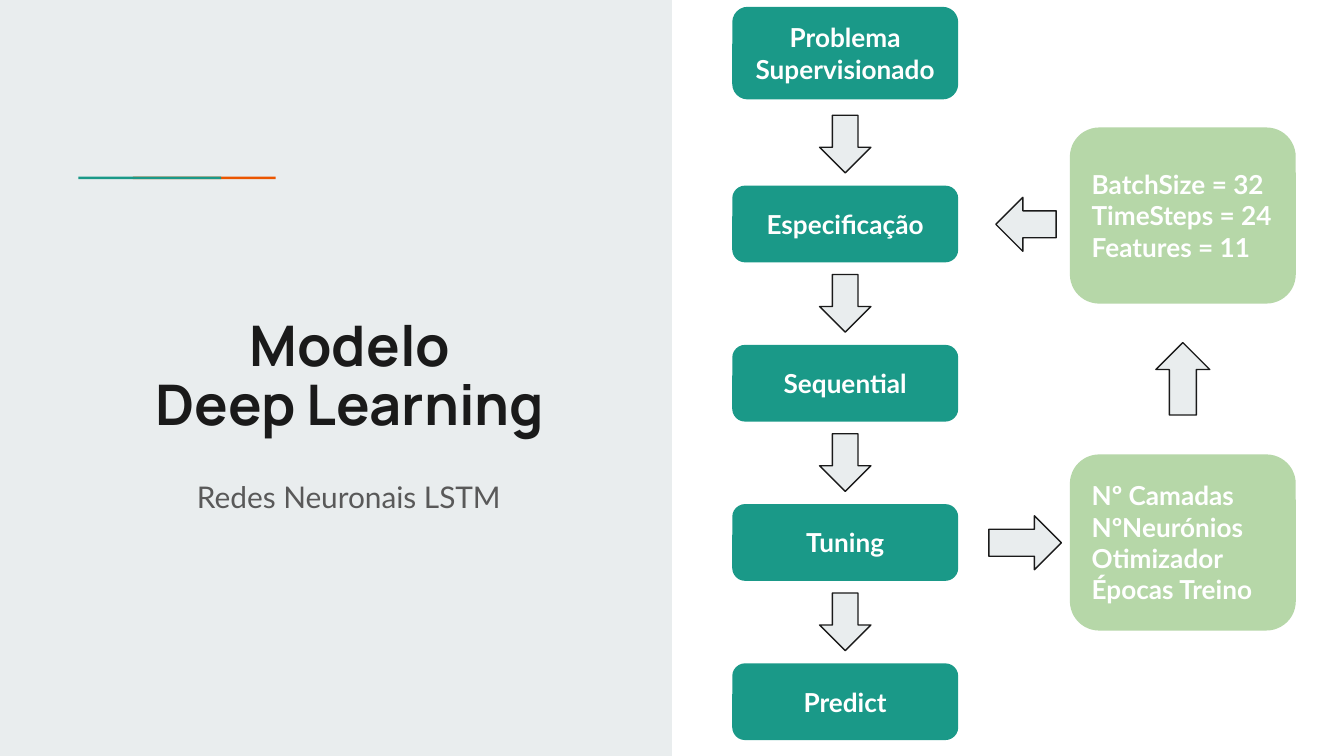
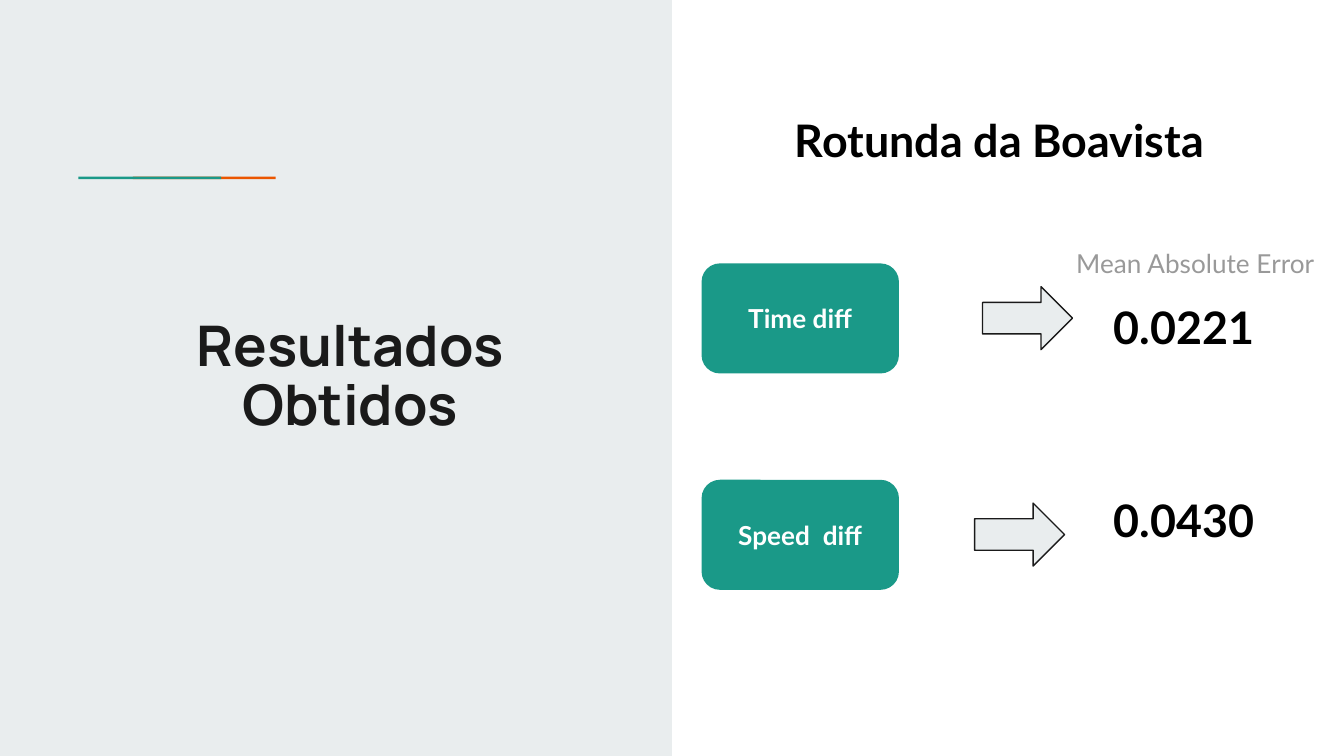
"""Build two slides on a deep learning model and its results."""
from pptx import Presentation
from pptx.dml.color import RGBColor
from pptx.enum.shapes import MSO_SHAPE
from pptx.enum.text import MSO_ANCHOR, MSO_AUTO_SIZE, PP_ALIGN
from pptx.util import Cm, Pt

COLOURS = {
    "panel": "E9EDEE",
    "teal": "1A9988",
    "orange": "EB5600",
    "green": "B6D7A8",
    "ink": "1A1A1A",
    "subtitle": "595959",
    "caption": "999999",
    "black": "000000",
    "white": "FFFFFF",
}
INSET = Cm(0.25)
STEP_PITCH = 3.01
TITLE_LAYOUT, TITLE_ONLY_LAYOUT = 0, 5


def colour(name):
    return RGBColor.from_string(COLOURS[name])


def place(shape, left, top, width, height):
    shape.left, shape.top = Cm(left), Cm(top)
    shape.width, shape.height = Cm(width), Cm(height)


def write(shape, lines, size, ink, bold=True, align=PP_ALIGN.LEFT,
          anchor=MSO_ANCHOR.TOP, font="Lato", spacing=1.0):
    frame = shape.text_frame
    frame.word_wrap = True
    frame.auto_size = MSO_AUTO_SIZE.NONE
    frame.vertical_anchor = anchor
    frame.margin_left = frame.margin_right = INSET
    frame.margin_top = frame.margin_bottom = INSET
    for index, line in enumerate(lines):
        para = frame.add_paragraph() if index else frame.paragraphs[0]
        para.alignment = align
        para.line_spacing = spacing
        para.space_before = Pt(0)
        span = para.add_run()
        span.text = line
        span.font.name = font
        span.font.size = Pt(size)
        span.font.bold = bold
        span.font.color.rgb = colour(ink)


def add_block(page, kind, left, top, width, height, fill):
    block = page.shapes.add_shape(kind, Cm(left), Cm(top), Cm(width), Cm(height))
    block.shadow.inherit = False
    block.fill.solid()
    block.fill.fore_color.rgb = colour(fill)
    block.line.fill.background()
    return block


def add_box(page, lines, left, top, width, height, fill="teal", align=PP_ALIGN.CENTER):
    box = add_block(page, MSO_SHAPE.ROUNDED_RECTANGLE, left, top, width, height, fill)
    write(box, lines, 14, "white", align=align, anchor=MSO_ANCHOR.MIDDLE)


def add_arrow(page, left, top, width, height, kind=MSO_SHAPE.RIGHT_ARROW, rotation=0):
    arrow = add_block(page, kind, left, top, width, height, "panel")
    arrow.line.color.rgb = colour("ink")
    arrow.line.width = Pt(0.75)
    arrow.rotation = rotation


def add_label(page, text, left, top, width, height, size=24, ink="black", **style):
    label = page.shapes.add_textbox(Cm(left), Cm(top), Cm(width), Cm(height))
    write(label, [text], size, ink, **style)


def add_page(deck, layout, title_lines):
    """Add a slide with the shared side panel, accent line and title."""
    page = deck.slides.add_slide(deck.slide_layouts[layout])
    add_block(page, MSO_SHAPE.RECTANGLE, 0, 0, 12.7, 14.29, "panel")
    add_block(page, MSO_SHAPE.RECTANGLE, 2.51, 3.34, 2.7, 0.05, "orange")
    add_block(page, MSO_SHAPE.RECTANGLE, 1.48, 3.34, 2.7, 0.05, "teal")
    for holder in list(page.placeholders):
        page.shapes._spTree.append(holder._element)
    title = page.shapes.title
    place(title, 2.03, 3.66, 9.17, 4.7)
    write(title, title_lines, 30, "ink", align=PP_ALIGN.CENTER,
          font="Manrope", spacing=0.88)
    title.text_frame.margin_top = Cm(2.37)
    title.text_frame.margin_bottom = 0
    return page


def add_model_page(deck):
    page = add_page(deck, TITLE_LAYOUT, ["Modelo", "Deep Learning"])
    subtitle = page.placeholders[1]
    place(subtitle, 2.01, 8.79, 9.17, 2.11)
    write(subtitle, ["Redes Neuronais LSTM"], 16, "subtitle", bold=False,
          align=PP_ALIGN.CENTER)

    add_box(page, ["Problema Supervisionado"], 13.84, 0.13, 4.27, 1.75)
    for index, step in enumerate(["Especificação", "Sequential", "Tuning", "Predict"]):
        offset = index * STEP_PITCH
        add_arrow(page, 15.49, 2.18 + offset, 0.97, 1.09, MSO_SHAPE.DOWN_ARROW)
        add_box(page, [step], 13.84, 3.51 + offset, 4.27, 1.45)

    parameters = ["BatchSize = 32", "TimeSteps = 24", "Features = 11"]
    tuned = ["Nº Camadas", "NºNeurónios", "Otimizador", "Épocas Treino"]
    for lines, top in ((parameters, 2.41), (tuned, 8.59)):
        add_box(page, lines, 20.22, top, 4.27, 3.33, "green", PP_ALIGN.LEFT)
    add_arrow(page, 18.82, 3.73, 1.14, 1.02, rotation=180)
    add_arrow(page, 18.69, 9.75, 1.37, 1.02)
    add_arrow(page, 21.67, 6.65, 1.37, 1.02, rotation=270)


def add_results_page(deck):
    page = add_page(deck, TITLE_ONLY_LAYOUT, ["Resultados", "Obtidos"])
    add_label(page, "Rotunda da Boavista", 14.66, 1.88, 8.46, 1.78,
              align=PP_ALIGN.CENTER)
    add_label(page, "Mean Absolute Error", 20.09, 4.42, 5.31, 0.99,
              size=14, ink="caption", bold=False)
    results = [
        ("Time diff", "0.0221", 4.98, 18.57, 5.41),
        ("Speed  diff", "0.0430", 9.07, 18.42, 9.07),
    ]
    for name, error, top, arrow_left, error_top in results:
        add_box(page, [name], 13.26, top, 3.73, 2.08)
        add_arrow(page, arrow_left, top + 0.44, 1.7, 1.19)
        add_label(page, error, 20.8, error_top, 4.04, 2.08)


def main():
    deck = Presentation()
    deck.slide_width, deck.slide_height = Cm(25.4), Cm(14.29)
    add_model_page(deck)
    add_results_page(deck)
    deck.save("out.pptx")


if __name__ == "__main__":
    main()
